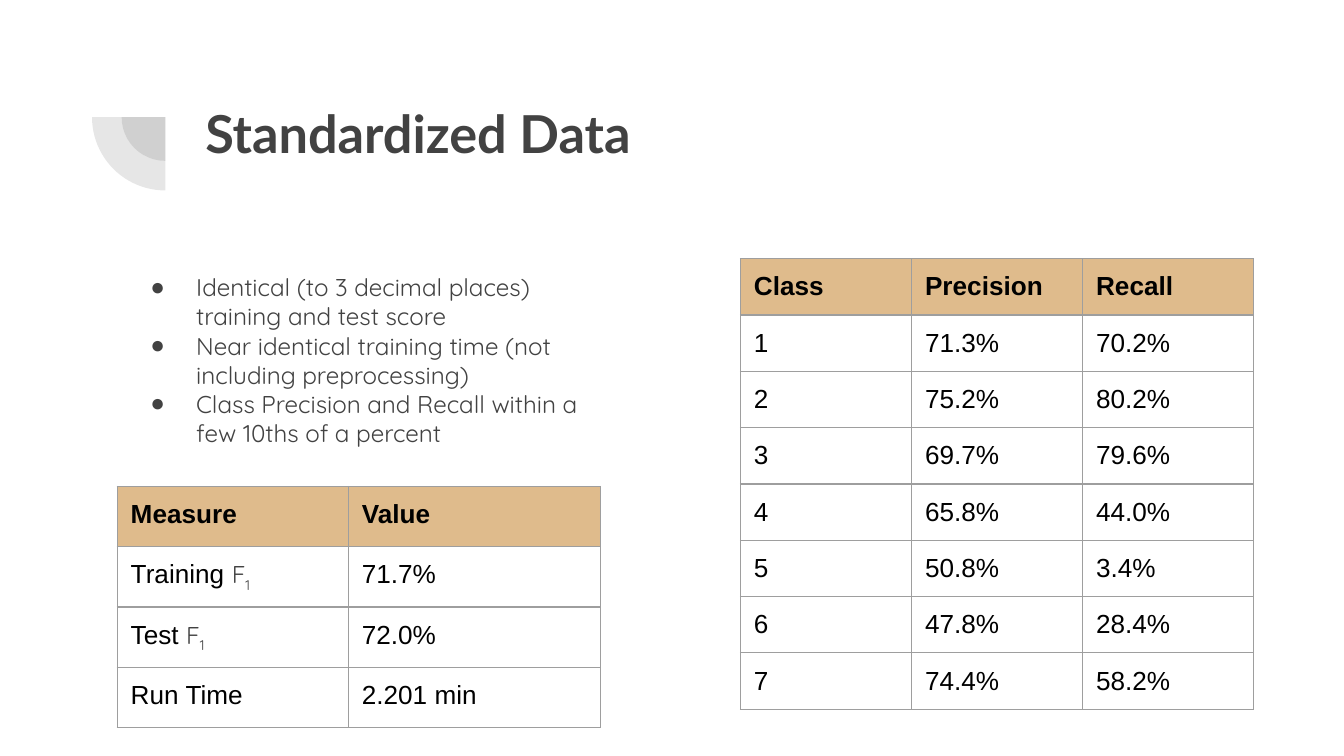
from pptx import Presentation
from pptx.dml.color import RGBColor
from pptx.enum.shapes import MSO_SHAPE
from pptx.enum.text import MSO_ANCHOR, MSO_AUTO_SIZE, PP_ALIGN
from pptx.oxml.ns import qn
from pptx.util import Inches, Pt
from lxml.etree import SubElement

INK = RGBColor(0x42, 0x42, 0x42)
BLACK = RGBColor(0x00, 0x00, 0x00)
HEADER = RGBColor(0xC0, 0x79, 0x1B)
BORDER = RGBColor(0x9E, 0x9E, 0x9E)

COLUMNS = 100  # square grid cells, a hundred across the slide
F1 = ("F", "1")  # letter and its subscript

MEASURES = [
    [["Measure"], ["Value"]],
    [["Training ", *F1], ["71.7%"]],
    [["Test ", *F1], ["72.0%"]],
    [["Run Time"], ["2.201 min"]],
]
SCORES = [
    ("71.3%", "70.2%"),
    ("75.2%", "80.2%"),
    ("69.7%", "79.6%"),
    ("65.8%", "44.0%"),
    ("50.8%", "3.4%"),
    ("47.8%", "28.4%"),
    ("74.4%", "58.2%"),
]
CLASSES = [[["Class"], ["Precision"], ["Recall"]]] + [
    [[str(number)], [precision], [recall]]
    for number, (precision, recall) in enumerate(SCORES, start=1)
]
FINDINGS = [
    "Identical (to 3 decimal places) training and test score",
    "Near identical training time (not including preprocessing)",
    "Class Precision and Recall within a few 10ths of a percent",
]


def set_font(font, name, size, color, bold=False):
    font.name, font.size, font.bold = name, Pt(size), bold
    font.color.rgb = color


def set_alpha(properties, percent):
    """Make the solid fill of a shape or cell see-through."""
    color = properties.find(qn("a:solidFill")).find(qn("a:srgbClr"))
    SubElement(color, qn("a:alpha"), val=str(percent * 1000))


class SlideBuilder:
    def __init__(self, deck):
        self.slide = deck.slides.add_slide(deck.slide_layouts[1])
        self.unit = deck.slide_width / COLUMNS

    def grid(self, *cells):
        return [round(cell * self.unit) for cell in cells]

    def place(self, holder, box):
        """Move a placeholder to a grid box and return its text frame."""
        holder.left, holder.top, holder.width, holder.height = self.grid(*box)
        frame = holder.text_frame
        frame.auto_size = MSO_AUTO_SIZE.NONE
        frame.vertical_anchor = MSO_ANCHOR.TOP
        frame.margin_left = frame.margin_right = Inches(0.1)
        frame.margin_top = frame.margin_bottom = Inches(0.1)
        return frame

    def quarter_disc(self, center_x, center_y, radius):
        left, top, size = self.grid(center_x - radius, center_y - radius, 2 * radius)
        disc = self.slide.shapes.add_shape(MSO_SHAPE.PIE, left, top, size, size)
        disc.adjustments[0], disc.adjustments[1] = 108, 162
        disc.rotation = 270
        disc.shadow.inherit = False
        disc.line.fill.background()
        disc.fill.solid()
        disc.fill.fore_color.rgb = INK
        set_alpha(disc._element.spPr, 13)

    def title(self, text, box):
        frame = self.place(self.slide.shapes.title, box)
        frame.text = text
        heading = frame.paragraphs[0]
        heading.alignment = PP_ALIGN.LEFT
        set_font(heading.font, "Lato", 28, INK, bold=True)

    def bullets(self, items, box):
        frame = self.place(self.slide.placeholders[1], box)
        frame.text = "\n".join(items)
        for item in frame.paragraphs:
            props = item._p.get_or_add_pPr()
            props.set("marL", str(Inches(0.5)))
            props.set("indent", str(Inches(-0.34)))
            SubElement(SubElement(props, qn("a:buClr")), qn("a:srgbClr"), val=str(INK))
            SubElement(props, qn("a:buChar"), char="●")
            item.space_before = Pt(0)
            set_font(item.font, "Quicksand", 13, INK)

    def table(self, rows, left, top, widths, row_height):
        box = self.grid(left, top, sum(widths), row_height * len(rows))
        table = self.slide.shapes.add_table(len(rows), len(widths), *box).table
        table.first_row = table.horz_banding = False
        for column, width in zip(table.columns, self.grid(*widths)):
            column.width = width
        for r, row in enumerate(rows):
            table.rows[r].height = self.grid(row_height)[0]
            for c, parts in enumerate(row):
                self.cell(table.cell(r, c), parts, is_header=r == 0)

    def cell(self, cell, parts, is_header):
        cell.margin_left = cell.margin_right = Inches(0.1)
        cell.margin_top = cell.margin_bottom = Inches(0.1)
        props = cell._tc.get_or_add_tcPr()
        for side in ("lnL", "lnR", "lnT", "lnB"):
            edge = SubElement(props, qn(f"a:{side}"), w=str(Pt(0.75)))
            SubElement(SubElement(edge, qn("a:solidFill")), qn("a:srgbClr"), val=str(BORDER))
        if is_header:
            cell.fill.solid()
            cell.fill.fore_color.rgb = HEADER
            set_alpha(props, 50)
        else:
            cell.fill.background()

        entry = cell.text_frame.paragraphs[0]
        set_font(entry.font, "Arial", 14, BLACK, bold=is_header)
        runs = [entry.add_run() for _ in parts]
        for run, text in zip(runs, parts):
            run.text = text
        for symbol in runs[1:]:
            set_font(symbol.font, "Quicksand", 13, INK)
        if len(runs) > 1:
            runs[-1]._r.get_or_add_rPr().set("baseline", "-25000")


def main():
    deck = Presentation()
    deck.slide_width = Inches(10)
    deck.slide_height = deck.slide_width * 9 // 16

    page = SlideBuilder(deck)
    for radius in (3.25, 5.45):
        page.quarter_disc(12.3, 8.72, radius)
    page.title("Standardized Data", (14.27, 6.5, 73.1, 21.8))
    page.table(MEASURES, 8.73, 36.2, (17.2, 18.75), 4.45)
    page.table(CLASSES, 55.1, 19.25, (12.73,) * 3, 4.18)
    page.bullets(FINDINGS, (8.6, 19.27, 36.3, 15.4))

    deck.save("out.pptx")


if __name__ == "__main__":
    main()
